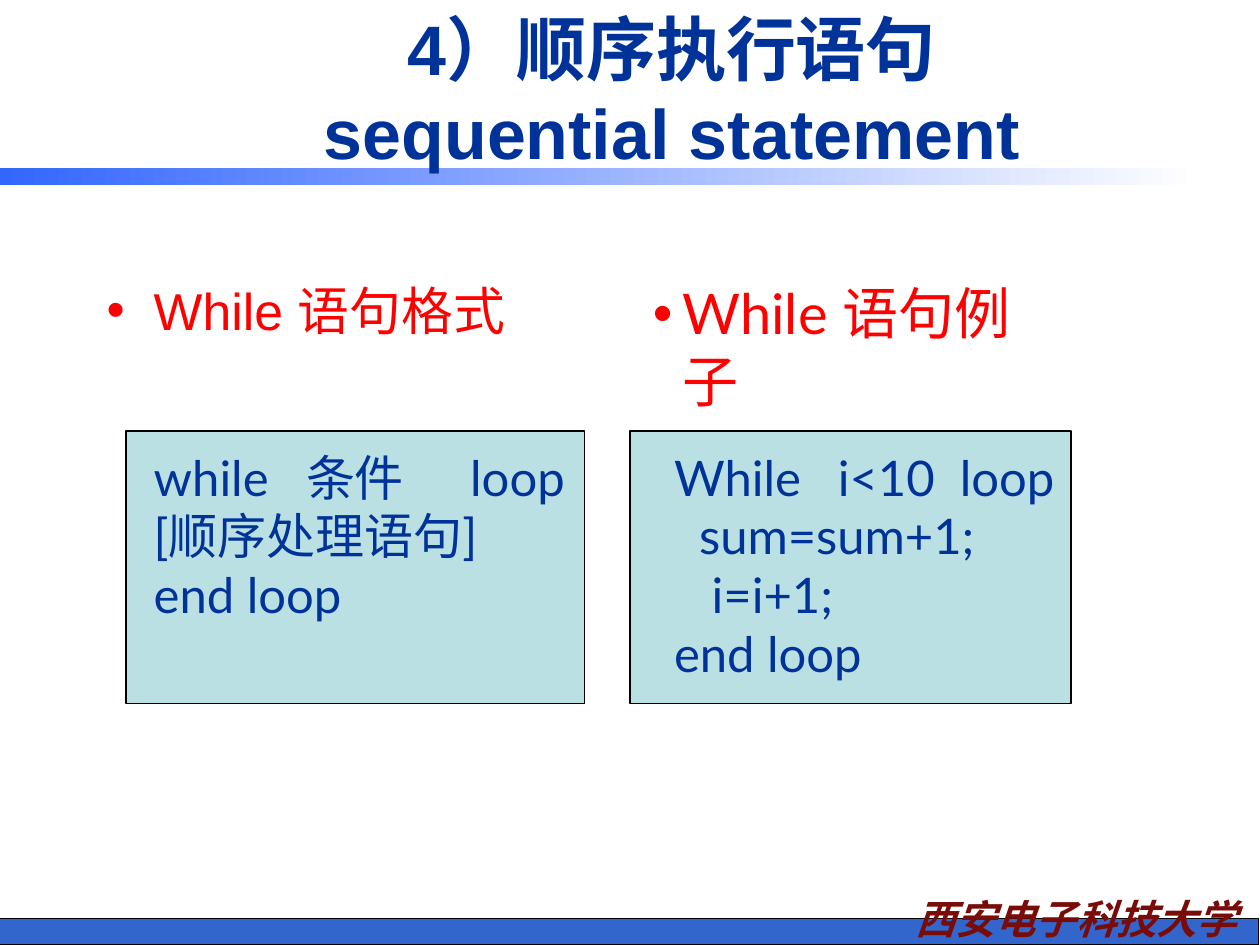
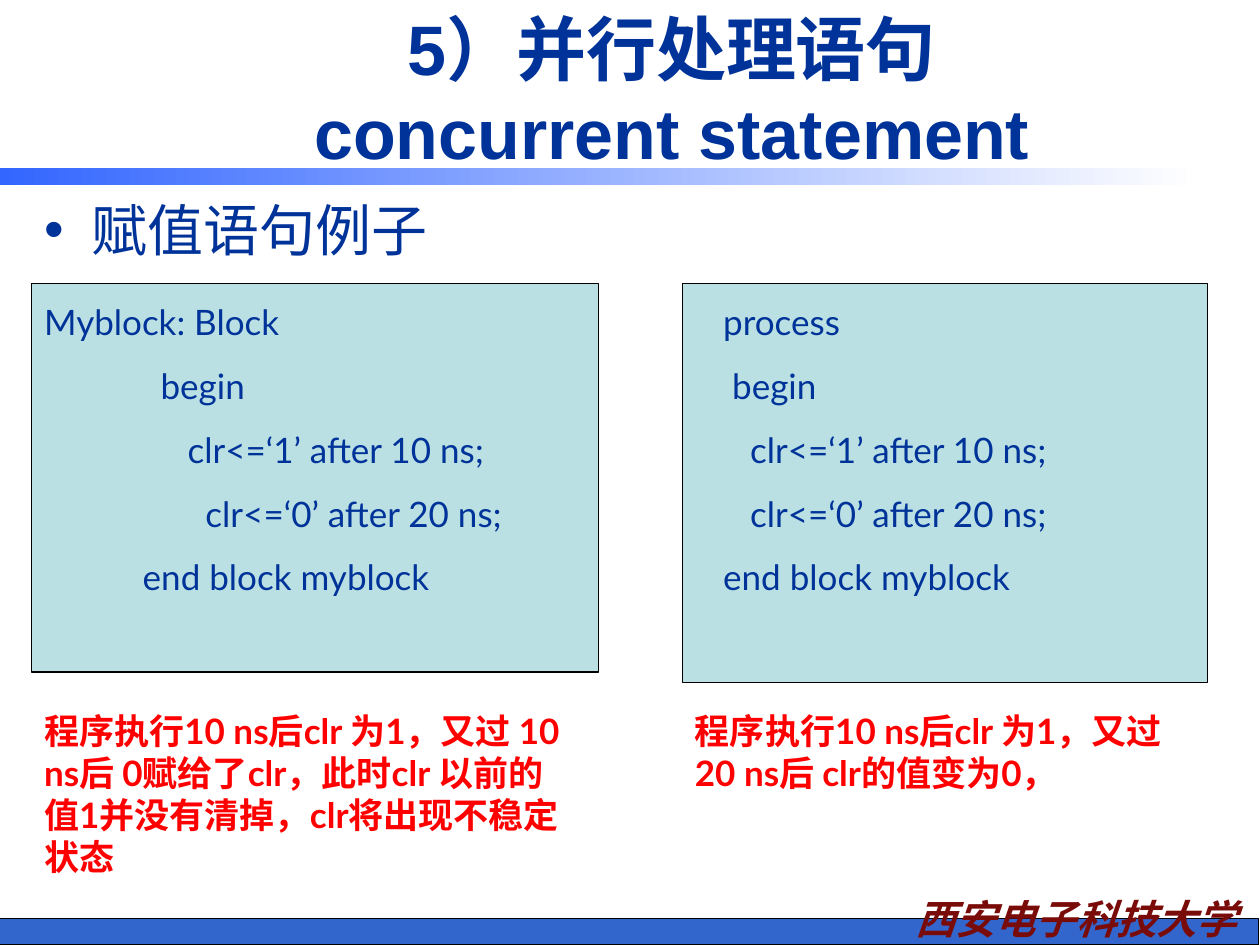
"""Build two slides on sequential and concurrent hardware statements."""
import pptx
import pptx.dml.color
import pptx.enum.shapes
import pptx.enum.text
import pptx.oxml.ns
import pptx.util
from lxml import etree

Cm = pptx.util.Cm
Pt = pptx.util.Pt
RGBColor = pptx.dml.color.RGBColor
Align = pptx.enum.text.PP_ALIGN

NAVY = RGBColor(0x00, 0x33, 0x99)
RED = RGBColor(0xFF, 0x00, 0x00)
MAROON = RGBColor(0x79, 0x0C, 0x09)
PANEL = RGBColor(0xBB, 0xE0, 0xE3)
FOOTER_BLUE = RGBColor(0x33, 0x66, 0xCC)
BAND_BLUE = RGBColor(0x33, 0x66, 0xFF)
WHITE = RGBColor(0xFF, 0xFF, 0xFF)
BLACK = RGBColor(0x00, 0x00, 0x00)
HEADING_FONT, BODY_FONT, CHINESE_FONT = "Arial", "Lato", "Noto Sans CJK SC"


def add_element(parent, tag, **attributes):
    """Append a drawing element with attributes to its parent."""
    return etree.SubElement(parent, pptx.oxml.ns.qn(tag), attributes)


def add_rectangle(slide, box, fill=None):
    """Add a rectangle with a solid fill and thin black outline, or bare."""
    shape = slide.shapes.add_shape(
        pptx.enum.shapes.MSO_SHAPE.RECTANGLE, *map(Cm, box))
    shape.shadow.inherit = False
    if fill is None:
        shape.line.fill.background()
    else:
        shape.fill.solid()
        shape.fill.fore_color.rgb = fill
        shape.line.color.rgb = BLACK
        shape.line.width = Pt(0.75)
    return shape


def add_bullet(paragraph, hanging, color):
    """Give a paragraph a round bullet with a hanging indent in centimetres."""
    properties = paragraph._p.get_or_add_pPr()
    properties.set("marL", str(Cm(hanging)))
    properties.set("indent", str(-Cm(hanging)))
    add_element(add_element(properties, "a:buClr"), "a:srgbClr", val=str(color))
    add_element(properties, "a:buFont", typeface="Arial")
    add_element(properties, "a:buChar", char="•")


def add_tabs(paragraph, positions):
    """Add left tab stops at the given centimetre positions."""
    tab_list = add_element(paragraph._p.get_or_add_pPr(), "a:tabLst")
    for position in positions:
        add_element(tab_list, "a:tab", pos=str(Cm(position)), algn="l")


def add_text(slide, box, lines, size, color, font=BODY_FONT, bold=False,
             italic=False, align=Align.LEFT, gap=0, hanging=None, tabs=(),
             anchor=pptx.enum.text.MSO_ANCHOR.TOP):
    """Add a wrapped text box with one paragraph for each line."""
    frame = slide.shapes.add_textbox(*map(Cm, box)).text_frame
    frame.word_wrap = True
    frame.vertical_anchor = anchor
    for index, line in enumerate(lines):
        paragraph = frame.paragraphs[0] if index == 0 else frame.add_paragraph()
        paragraph.text = line
        paragraph.alignment = align
        if index and gap:
            paragraph.space_before = Pt(gap)
        if hanging:
            add_bullet(paragraph, hanging, color)
        if "\t" in line:
            add_tabs(paragraph, tabs)
        paragraph.font.name = font
        paragraph.font.size = Pt(size)
        paragraph.font.bold = bold
        paragraph.font.italic = italic
        paragraph.font.color.rgb = color
        add_element(paragraph.font._rPr, "a:ea", typeface=CHINESE_FONT)


def add_slide(presentation, title):
    """Add a slide with the shared footer, gradient band and title."""
    slide = presentation.slides.add_slide(presentation.slide_layouts[6])
    add_rectangle(slide, (-0.03, 18.52, 25.4, 0.53), FOOTER_BLUE)
    add_text(slide, (17.7, 17.91, 8, 1.24), ["西安电子科技大学"], 23, MAROON,
             CHINESE_FONT, bold=True, italic=True, align=Align.CENTER)
    band = add_rectangle(slide, (0, 3.38, 24.16, 0.36))
    band.fill.gradient()
    band.fill.gradient_angle = 0
    for stop, color in zip(band.fill.gradient_stops, (BAND_BLUE, WHITE)):
        stop.color.rgb = color
    add_text(slide, (3.38, 0.43, 20.32, 2.74), [title], 40, NAVY, HEADING_FONT,
             bold=True, align=Align.CENTER,
             anchor=pptx.enum.text.MSO_ANCHOR.MIDDLE)
    return slide


def add_code(slide, panel_box, text_box, lines, size, gap=0, tabs=()):
    """Add a pale panel with code lines on it."""
    add_rectangle(slide, panel_box, PANEL)
    add_text(slide, text_box, lines, size, NAVY, gap=gap, tabs=tabs)


def build_while_slide(presentation):
    """Show the form of the while statement beside an example."""
    slide = add_slide(presentation, "4）顺序执行语句\vsequential statement")
    add_text(slide, (1.9, 5.5, 9.32, 1.9), ["While 语句格式"], 29.6, RED,
             HEADING_FONT, hanging=0.95)
    add_text(slide, (12.91, 5.5, 8.71, 2.97), ["While 语句例子"], 32, RED,
             hanging=0.6)
    add_code(slide, (2.54, 8.69, 9.25, 5.5), (2.85, 8.89, 9.07, 3.81),
             ["while\t条件\tloop", "[顺序处理语句]", "end loop"],
             28, tabs=(3.07, 6.38))
    add_code(slide, (12.7, 8.69, 8.89, 5.5), (13.34, 8.89, 9.96, 5),
             ["While\ti<10\tloop", "  sum=sum+1;", "   i=i+1;", "end loop"],
             28, tabs=(3.3, 5.76))


def build_concurrent_slide(presentation):
    """Compare assignments in a block with those in a process."""
    slide = add_slide(presentation, "5）并行处理语句\vconcurrent statement")
    add_text(slide, (0.64, 3.81, 21.59, 1.7), ["赋值语句例子"], 32, NAVY,
             HEADING_FONT, hanging=0.95)
    block_code = ["Myblock: Block",
                  "             begin",
                  "                clr<=‘1’ after 10 ns;",
                  "                  clr<=‘0’ after 20 ns;",
                  "           end block myblock"]
    process_code = ["process",
                    " begin",
                    "   clr<=‘1’ after 10 ns;",
                    "   clr<=‘0’ after 20 ns;",
                    "end block myblock"]
    add_code(slide, (0.64, 5.72, 11.43, 7.83), (0.64, 5.93, 11.43, 6.25),
             block_code, 20, gap=12.5)
    add_code(slide, (13.76, 5.72, 10.58, 8.04), (14.33, 5.93, 7.24, 7.11),
             process_code, 20, gap=12.5)
    block_note = ("程序执行10 ns后clr 为1，又过 10 ns后 0赋给了clr，此时clr "
                  "以前的值1并没有清掉，clr将出现不稳定状态")
    process_note = "程序执行10 ns后clr 为1，又过 20 ns后 clr的值变为0，"
    add_text(slide, (0.64, 14.18, 11.22, 3.66), [block_note], 20, RED, bold=True)
    add_text(slide, (13.76, 14.18, 10.8, 1.96), [process_note], 20, RED,
             bold=True)


def main():
    """Build and save the presentation."""
    presentation = pptx.Presentation()
    presentation.slide_width = Cm(25.4)
    presentation.slide_height = Cm(19.05)
    build_while_slide(presentation)
    build_concurrent_slide(presentation)
    presentation.save("out.pptx")


if __name__ == "__main__":
    main()
